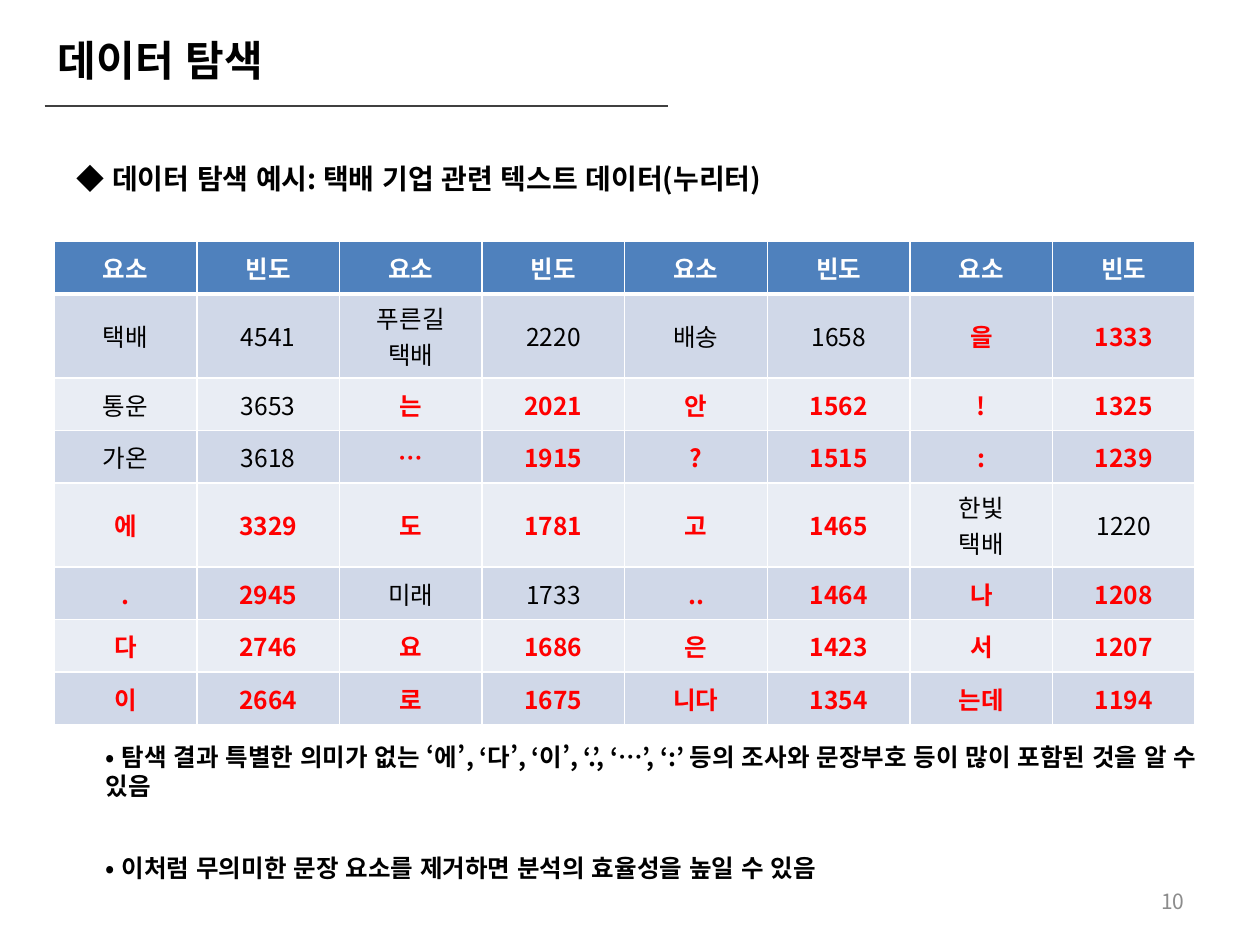
import pptx
import pptx.dml.color
import pptx.enum.lang
import pptx.enum.shapes
import pptx.enum.text
import pptx.oxml
import pptx.oxml.ns
import pptx.util

Pt = pptx.util.Pt
ALIGN = pptx.enum.text.PP_ALIGN
ANCHOR = pptx.enum.text.MSO_ANCHOR

PAIRS_PER_ROW = 4
MEANINGFUL = {"택배", "통운", "가온", "푸른길\n택배", "미래", "배송", "한빛\n택배"}
ROWS = [
    ["택배", 4541, "푸른길\n택배", 2220, "배송", 1658, "을", 1333],
    ["통운", 3653, "는", 2021, "안", 1562, "!", 1325],
    ["가온", 3618, "…", 1915, "?", 1515, ":", 1239],
    ["에", 3329, "도", 1781, "고", 1465, "한빛\n택배", 1220],
    [".", 2945, "미래", 1733, "..", 1464, "나", 1208],
    ["다", 2746, "요", 1686, "은", 1423, "서", 1207],
    ["이", 2664, "로", 1675, "니다", 1354, "는데", 1194],
]


def color(hex_text):
    return pptx.dml.color.RGBColor.from_string(hex_text)


class SlideBuilder:
    font_name = "Noto Sans CJK KR"
    black, white, red, gray = "000000", "FFFFFF", "FF0000", "8C8C8C"
    rule, header = "404040", "4F81BD"
    bands = ("D0D8E8", "E9EDF4")

    def __init__(self, page):
        self.page = page

    def style(self, paragraph, size, ink, bold, align):
        paragraph.alignment = align
        font = paragraph.font
        font.size, font.bold, font.name = Pt(size), bold, self.font_name
        font.language_id = pptx.enum.lang.MSO_LANGUAGE_ID.KOREAN
        font.color.rgb = color(ink)
        # Hangul takes its typeface from the East Asian slot.
        east_asian = pptx.oxml.parse_xml(
            f'<a:ea {pptx.oxml.ns.nsdecls("a")} typeface="{self.font_name}"/>')
        font._element.find(pptx.oxml.ns.qn("a:latin")).addnext(east_asian)

    def text(self, words, left, top, width, height, size, ink=black, bold=True,
             align=ALIGN.LEFT, anchor=ANCHOR.TOP, wrap=True):
        box = self.page.shapes.add_textbox(Pt(left), Pt(top), Pt(width), Pt(height))
        frame = box.text_frame
        frame.word_wrap, frame.vertical_anchor = wrap, anchor
        frame.text = words
        self.style(frame.paragraphs[0], size, ink, bold, align)

    def line(self, left, top, right, width):
        line = self.page.shapes.add_connector(
            pptx.enum.shapes.MSO_CONNECTOR.STRAIGHT, Pt(left), Pt(top), Pt(right), Pt(top))
        line.line.color.rgb = color(self.rule)
        line.line.width = Pt(width)
        line._element.spPr.append(
            pptx.oxml.parse_xml(f'<a:effectLst {pptx.oxml.ns.nsdecls("a")}/>'))

    def borders(self, cell, top, bottom):
        """Draw white borders; the side borders are 1 pt."""
        properties = cell._tc.get_or_add_tcPr()
        for side, width in (("L", 1), ("R", 1), ("T", top), ("B", bottom)):
            properties.append(pptx.oxml.parse_xml(
                f'<a:ln{side} {pptx.oxml.ns.nsdecls("a")} w="{Pt(width)}"><a:solidFill>'
                f'<a:srgbClr val="{self.white}"/></a:solidFill></a:ln{side}>'))

    def cell(self, cell, words, fill, ink, bold, top=1, bottom=1):
        self.borders(cell, top, bottom)
        cell.fill.solid()
        cell.fill.fore_color.rgb = color(fill)
        cell.vertical_anchor = ANCHOR.MIDDLE
        cell.text_frame.text = str(words)
        for paragraph in cell.text_frame.paragraphs:
            self.style(paragraph, 14, ink, bold, ALIGN.CENTER)

    def frequency_table(self, left, top, width, row_height, tall_height):
        headings = ["요소", "빈도"] * PAIRS_PER_ROW
        table = self.page.shapes.add_table(
            len(ROWS) + 1, len(headings), Pt(left), Pt(top), Pt(width),
            Pt(row_height * (len(ROWS) + 1))).table
        table.rows[0].height = Pt(row_height)
        for column, heading in enumerate(headings):
            table.columns[column].width = Pt(width / len(headings))
            self.cell(table.cell(0, column), heading, self.header, self.white, True, bottom=3)
        for number, values in enumerate(ROWS, 1):
            two_lines = any("\n" in str(value) for value in values)
            table.rows[number].height = Pt(tall_height if two_lines else row_height)
            for column, value in enumerate(values):
                element = values[column - column % 2]
                plain = element in MEANINGFUL
                self.cell(table.cell(number, column), value, self.bands[(number - 1) % 2],
                          self.black if plain else self.red, not plain,
                          top=3 if number == 1 else 1)


def main():
    deck = pptx.Presentation()
    deck.slide_width, deck.slide_height = Pt(720), Pt(540)
    builder = SlideBuilder(deck.slides.add_slide(deck.slide_layouts[6]))

    builder.frequency_table(31, 138, 652, 30, 34.5)
    builder.text("데이터 탐색", 26, 16, 144, 36, 24, wrap=False)
    builder.line(25.5, 60.5, 382, 0.75)
    builder.text("10", 516, 500.5, 168, 29, 12, builder.gray, False,
                 ALIGN.RIGHT, ANCHOR.MIDDLE)
    builder.text("◆ 데이터 탐색 예시: 택배 기업 관련 텍스트 데이터(누리터)",
                 36.7, 88.5, 657.4, 26.6, 16)
    builder.text("• 탐색 결과 특별한 의미가 없는 ‘에’, ‘다’, ‘이’, ‘.’, ‘…’, ‘:’ 등의 "
                 "조사와 문장부호 등이 많이 포함된 것을 알 수 있음", 53.3, 420.5, 657.4, 41, 14)
    builder.text("• 이처럼 무의미한 문장 요소를 제거하면 분석의 효율성을 높일 수 있음",
                 53.3, 484, 657.4, 24.5, 14)
    deck.save("out.pptx")


if __name__ == "__main__":
    main()
